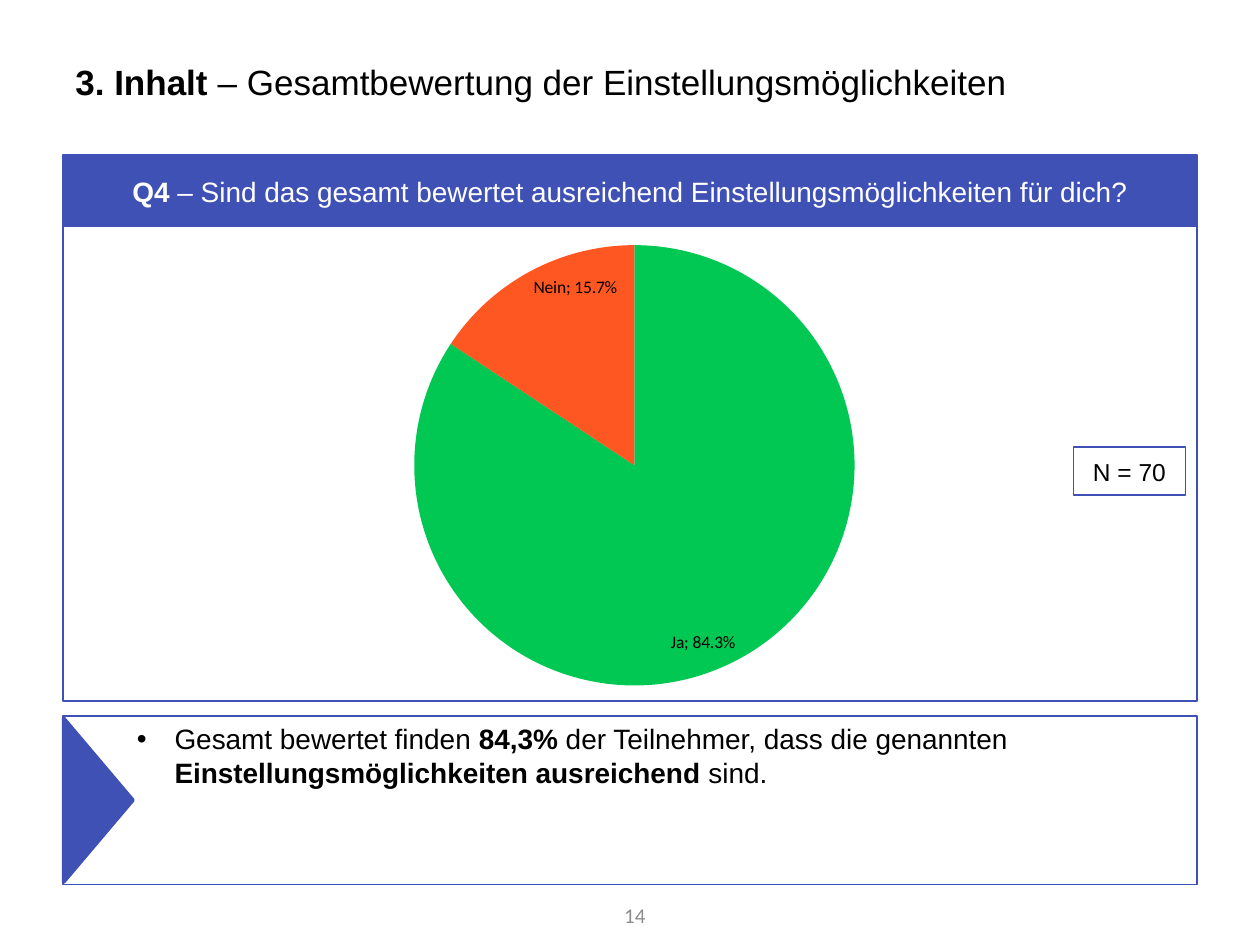
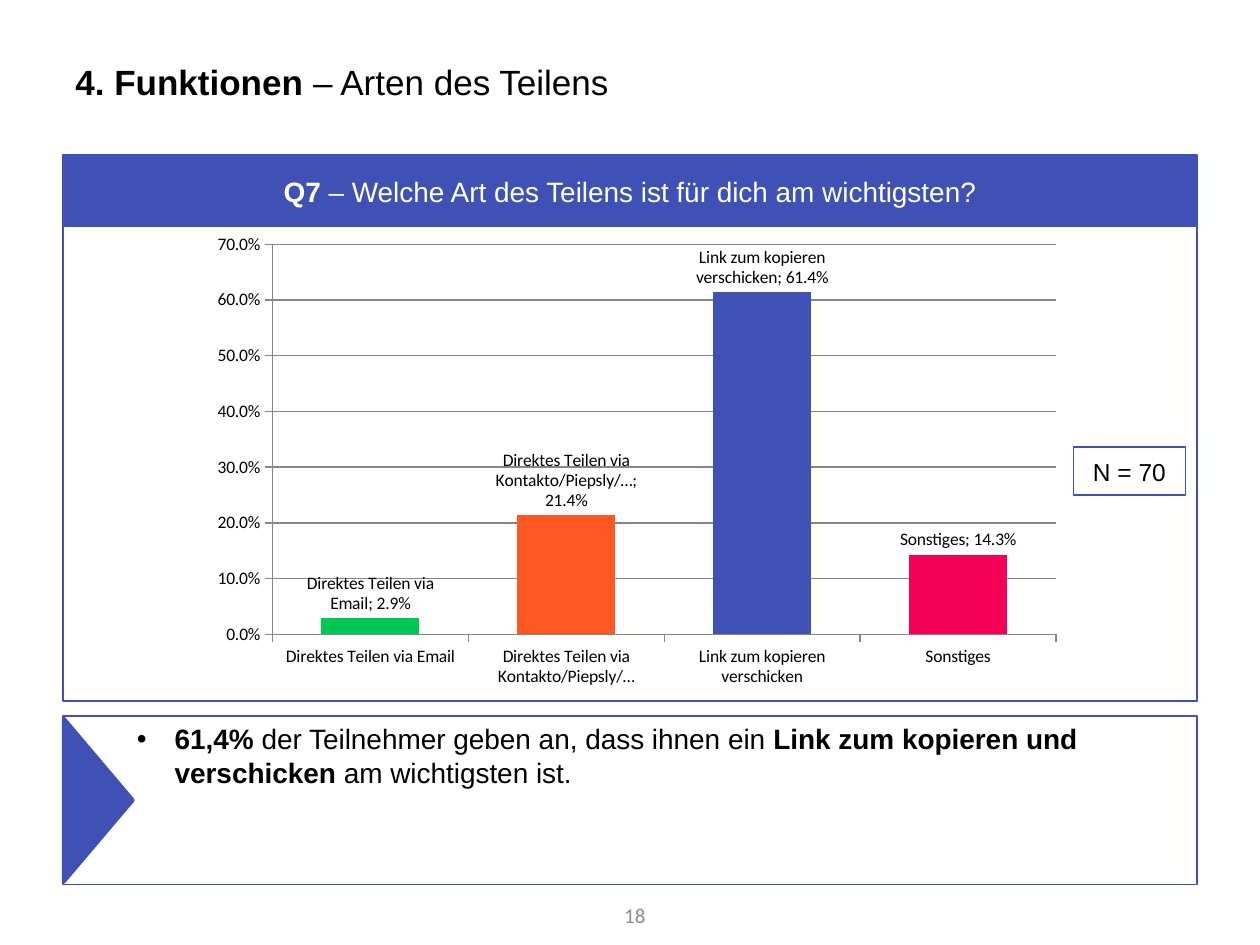
from dataclasses import dataclass

from lxml import etree
from pptx import Presentation
from pptx.chart.data import CategoryChartData
from pptx.dml.color import RGBColor
from pptx.enum import chart as ch, shapes, text
from pptx.oxml import ns
from pptx.util import Pt


@dataclass(frozen=True)
class Theme:
    indigo: str = "3F51B5"
    green: str = "00C853"
    orange: str = "FF5722"
    pink: str = "F50057"
    black: str = "000000"
    white: str = "FFFFFF"
    grey: str = "8C8C8C"
    grid: str = "868686"
    font: str = "Arial"
    chart_font: str = "Calibri"
    title_size: int = 20
    body_size: int = 16
    sample_size: int = 14
    number_size: int = 12
    chart_size: int = 10


THEME = Theme()
RECT = shapes.MSO_SHAPE.RECTANGLE
CENTER = text.PP_ALIGN.CENTER

# Regions as left, top, width, height in points
TITLE = (36, 21.6, 648, 49.7)
PANEL = (36, 88.6, 648, 311.8)
FINDING = (36, 409, 648, 96.5)
PAGE_NUMBER = (330.5, 508.3, 45.4, 28.8)
BAND_HEIGHT = 39.6


def color(value):
    return RGBColor.from_string(value)


def points(box):
    return [Pt(length) for length in box]


def write(shape, runs, size=THEME.body_size, font=THEME.font, ink=THEME.black,
          align=text.PP_ALIGN.LEFT, anchor=text.MSO_ANCHOR.MIDDLE, bullet=False):
    """Fill a shape with one paragraph; text between ** marks is bold."""
    frame = shape.text_frame
    frame.word_wrap = True
    frame.vertical_anchor = anchor
    paragraph = frame.paragraphs[0]
    paragraph.alignment = align
    if bullet:
        properties = paragraph._p.get_or_add_pPr()
        properties.set("marL", str(Pt(56.7)))
        properties.set("indent", str(Pt(-21.6)))
        etree.SubElement(properties, ns.qn("a:buFont")).set("typeface", THEME.font)
        etree.SubElement(properties, ns.qn("a:buChar")).set("char", "•")
    for index, words in enumerate(runs.split("**")):
        if words:
            run = paragraph.add_run()
            run.text = words
            run.font.bold = index % 2 == 1
            run.font.size = Pt(size)
            run.font.name = font
            run.font.color.rgb = color(ink)


def add_label(slide, box, runs, **style):
    write(slide.shapes.add_textbox(*points(box)), runs, **style)


def add_block(slide, box, fill=None, weight=1, kind=RECT):
    block = slide.shapes.add_shape(kind, *points(box))
    block.shadow.inherit = False
    if fill:
        block.fill.solid()
        block.fill.fore_color.rgb = color(fill)
    else:
        block.fill.background()
    block.line.color.rgb = color(THEME.indigo)
    block.line.width = Pt(weight)
    return block


def add_finding(slide, box, finding):
    left, top, width, height = box
    write(add_block(slide, box), finding, anchor=text.MSO_ANCHOR.TOP, bullet=True)
    # The triangle is turned by 90°, so its sides swap around a fixed centre
    depth, span = BAND_HEIGHT, height - 2.9
    pointer = add_block(
        slide, (left + 0.4 + (depth - span) / 2, top + (height - depth) / 2, span, depth),
        fill=THEME.indigo, weight=2, kind=shapes.MSO_SHAPE.ISOSCELES_TRIANGLE)
    pointer.rotation = 90


def add_panel(slide, box, question, sample):
    left, top, width, height = box
    add_block(slide, box)
    band = add_block(slide, (left + 0.7, top + 0.7, width - 1.4, BAND_HEIGHT),
                     fill=THEME.indigo, weight=2)
    write(band, question, ink=THEME.white, align=CENTER)
    note = add_block(slide, (left + width - 70.6, top + 167, 64.1, 27.4))
    write(note, sample, size=THEME.sample_size, align=CENTER)


def place_plot(chart, **fractions):
    """Fix the inner plot area as fractions of the chart's frame."""
    area = chart._chartSpace.chart.plotArea
    for old in area.findall(ns.qn("c:layout")):
        area.remove(old)
    layout = etree.Element(ns.qn("c:layout"))
    area.insert(0, layout)
    manual = etree.SubElement(layout, ns.qn("c:manualLayout"))
    settings = {"layoutTarget": "inner", "xMode": "edge", "yMode": "edge", **fractions}
    for name, value in settings.items():
        etree.SubElement(manual, ns.qn("c:" + name)).set("val", str(value))


def add_answers(slide, box, kind, answers, label_position):
    """Add a chart of answers, given as name: (share, colour)."""
    data = CategoryChartData(number_format="0.0%")
    data.categories = list(answers)
    data.add_series("Series 1", [share for share, _ in answers.values()])
    chart = slide.shapes.add_chart(kind, *points(box), data).chart
    chart.has_title = False
    chart.has_legend = False
    chart.font.size = Pt(THEME.chart_size)
    chart.font.name = THEME.chart_font
    chart.font.color.rgb = color(THEME.black)
    series = chart.plots[0].series[0]
    for index, (_, tint) in enumerate(answers.values()):
        fill = series.points[index].format.fill
        fill.solid()
        fill.fore_color.rgb = color(tint)
    labels = series.data_labels
    labels.show_value = True
    labels.show_category_name = True
    labels.number_format = "0.0%"
    labels.number_format_is_linked = False
    labels.position = label_position
    separator = etree.Element(ns.qn("c:separator"))
    separator.text = "; "
    labels._element.find(ns.qn("c:showBubbleSize")).addnext(separator)
    return chart


def add_pie(slide, panel, answers):
    left, top, _, _ = panel
    chart = add_answers(slide, (left + 74.9, top + 40.3, 503.3, 271.4),
                        ch.XL_CHART_TYPE.PIE, answers,
                        ch.XL_LABEL_POSITION.INSIDE_END)
    chart.plots[0].vary_by_categories = True
    place_plot(chart, x=0.25, y=0.04, w=0.5, h=0.93)


def add_columns(slide, panel, answers):
    left, top, _, _ = panel
    chart = add_answers(slide, (left + 79.9, top + 40.3, 497.5, 268.6),
                        ch.XL_CHART_TYPE.COLUMN_CLUSTERED, answers,
                        ch.XL_LABEL_POSITION.OUTSIDE_END)
    chart.plots[0].vary_by_categories = False
    chart.plots[0].gap_width = 100
    shares = chart.value_axis
    shares.minimum_scale, shares.maximum_scale, shares.major_unit = 0, 0.7, 0.1
    shares.has_major_gridlines = True
    shares.tick_labels.number_format = "0.0%"
    shares.tick_labels.number_format_is_linked = False
    for axis in (shares, chart.category_axis):
        axis.major_tick_mark = ch.XL_TICK_MARK.OUTSIDE
        axis.format.line.color.rgb = color(THEME.grid)
    shares.major_gridlines.format.line.color.rgb = color(THEME.grid)
    place_plot(chart, x=0.08, y=0.04, w=0.9, h=0.83)


def add_question_slide(deck, title, question, finding, number, add_chart, answers):
    slide = deck.slides.add_slide(deck.slide_layouts[6])
    add_label(slide, TITLE, title, size=THEME.title_size)
    add_finding(slide, FINDING, finding)
    add_panel(slide, PANEL, question, "N = 70")
    add_label(slide, PAGE_NUMBER, number, size=THEME.number_size,
              font=THEME.chart_font, ink=THEME.grey, align=text.PP_ALIGN.RIGHT)
    add_chart(slide, PANEL, answers)


def main():
    deck = Presentation()
    deck.slide_width, deck.slide_height = Pt(720), Pt(540)
    add_question_slide(
        deck,
        "**3. Inhalt **– Gesamtbewertung der Einstellungsmöglichkeiten",
        "**Q4 **– Sind das gesamt bewertet ausreichend Einstellungsmöglichkeiten für dich?",
        "Gesamt bewertet finden **84,3%** der Teilnehmer, dass die genannten "
        "**Einstellungsmöglichkeiten ausreichend **sind.",
        "14", add_pie,
        {"Ja": (0.843, THEME.green), "Nein": (0.157, THEME.orange)})
    add_question_slide(
        deck,
        "**4. Funktionen **– Arten des Teilens",
        "**Q7 **– Welche Art des Teilens ist für dich am wichtigsten?",
        "**61,4% **der Teilnehmer geben an, dass ihnen ein "
        "**Link zum kopieren und verschicken** am wichtigsten ist.",
        "18", add_columns,
        {"Direktes Teilen via Email": (0.029, THEME.green),
         "Direktes Teilen via Kontakto/Piepsly/…": (0.214, THEME.orange),
         "Link zum kopieren verschicken": (0.614, THEME.indigo),
         "Sonstiges": (0.143, THEME.pink)})
    deck.save("out.pptx")


if __name__ == "__main__":
    main()
